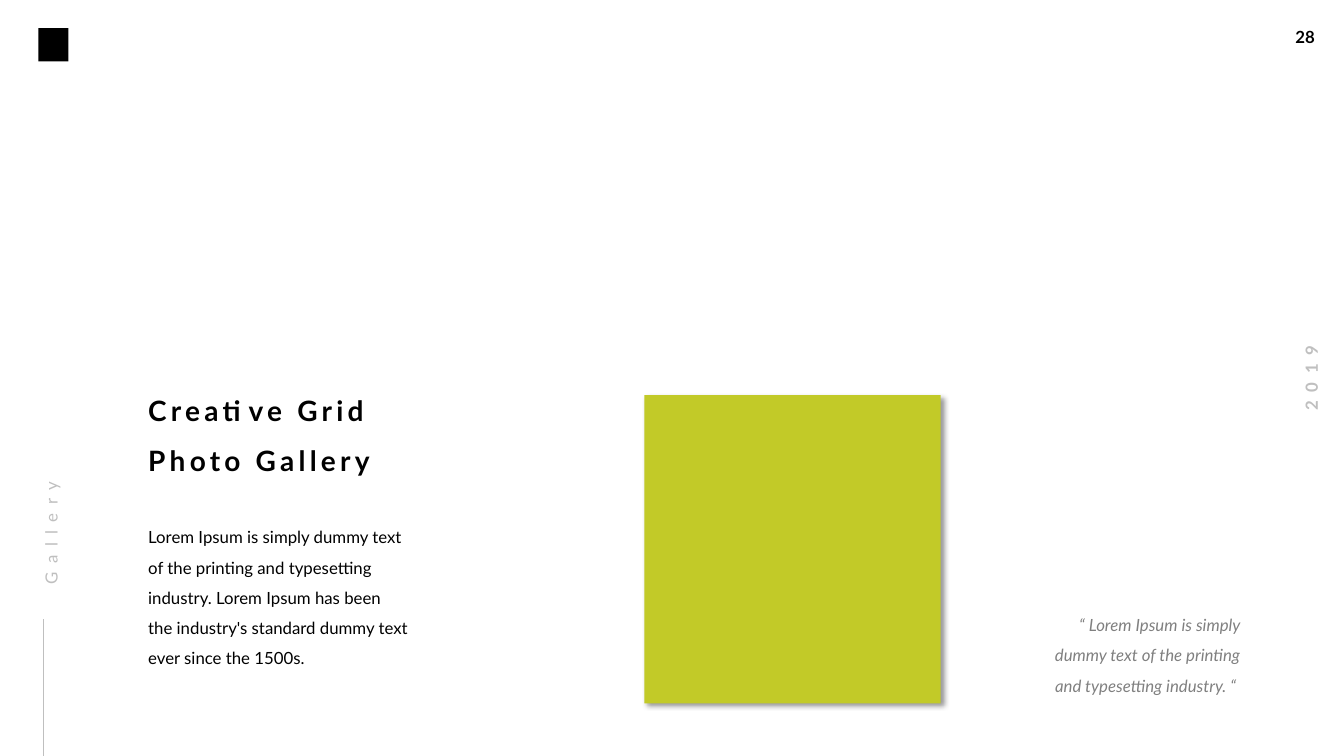
import pptx
import pptx.dml.color
import pptx.enum.shapes
import pptx.enum.text
import pptx.oxml
import pptx.oxml.ns
import pptx.util

Inches = pptx.util.Inches
Pt = pptx.util.Pt
Align = pptx.enum.text.PP_ALIGN
BLACK, SILVER, GRAY, LIME = "000000", "BFBFBF", "808080", "C2CA28"
FLUSH = (0, 0, 0.1, 0)
PADDED = (0.1, 0.05, 0.1, 0.05)
NAMESPACE = pptx.oxml.ns.nsdecls("a")
SHADOW = (
    f'<a:effectLst {NAMESPACE}><a:outerShdw blurRad="50800" dist="38100" dir="2700000" '
    'algn="tl" rotWithShape="0"><a:srgbClr val="000000"><a:alpha val="40000"/>'
    "</a:srgbClr></a:outerShdw></a:effectLst>"
)


def color(value):
    return pptx.dml.color.RGBColor.from_string(value)


class GalleryPage:
    font_name = "Lato"

    def __init__(self, deck):
        self.page = deck.slides.add_slide(deck.slide_layouts[5])

    def fill_text(self, box, lines, insets=FLUSH, hue=BLACK, size=12, tracking=0,
                  align=Align.LEFT, leading=1.0, wrap=True, **styles):
        frame = box.text_frame
        frame.word_wrap = wrap
        frame.auto_size = pptx.enum.text.MSO_AUTO_SIZE.SHAPE_TO_FIT_TEXT
        frame.vertical_anchor = pptx.enum.text.MSO_ANCHOR.TOP
        for side, inset in zip(("left", "top", "right", "bottom"), insets):
            setattr(frame, f"margin_{side}", Inches(inset))
        for index, line in enumerate(lines):
            para = frame.add_paragraph() if index else frame.paragraphs[0]
            layout = {"alignment": align, "line_spacing": leading,
                      "space_before": Pt(12 if index else 0)}
            for name, value in layout.items():
                setattr(para, name, value)
            span = para.add_run()
            span.text = line
            look = {"name": self.font_name, "size": Pt(size), **styles}
            for name, value in look.items():
                setattr(span.font, name, value)
            span.font.color.rgb = color(hue)
            if tracking:
                span.font._element.set("spc", str(tracking * 100))

    def title(self, place, lines, **styles):
        box = self.page.shapes.title
        for name, value in zip(("left", "top", "width", "height"), place):
            setattr(box, name, Inches(value))
        self.fill_text(box, lines, **styles)

    def text(self, place, line, rotation=0, **styles):
        box = self.page.shapes.add_textbox(*map(Inches, place))
        box.rotation = rotation
        self.fill_text(box, [line], **styles)

    def block(self, place, hue, shadow=False):
        box = self.page.shapes.add_shape(
            pptx.enum.shapes.MSO_SHAPE.RECTANGLE, *map(Inches, place))
        box.fill.solid()
        box.fill.fore_color.rgb = color(hue)
        box.line.fill.background()
        box.shadow.inherit = False
        if shadow:
            properties = box._element.spPr
            properties.remove(properties.find(pptx.oxml.ns.qn("a:effectLst")))
            properties.append(pptx.oxml.parse_xml(SHADOW))

    def line(self, start, end, hue, width):
        rule = self.page.shapes.add_connector(
            pptx.enum.shapes.MSO_CONNECTOR.STRAIGHT, *map(Inches, start + end))
        rule.line.color.rgb = color(hue)
        rule.line.width = Pt(width)
        rule._element.spPr.append(pptx.oxml.parse_xml(f"<a:effectLst {NAMESPACE}/>"))


def main():
    deck = pptx.Presentation()
    deck.slide_width, deck.slide_height = Inches(13.33), Inches(7.5)
    gallery = GalleryPage(deck)

    gallery.text((12.75, 0.22, 0.41, 0.3), "28", insets=PADDED, wrap=False, bold=True)
    gallery.text((12.54, 3.6, 0.93, 0.3), "2019", rotation=270, insets=PADDED,
                 wrap=False, align=Align.CENTER, hue=SILVER, tracking=6, bold=True)
    gallery.block((0.38, 0.28, 0.3, 0.33), BLACK)

    gallery.block((6.39, 3.92, 2.94, 3.06), LIME, shadow=True)
    gallery.title((1.47, 3.9, 2.88, 0.84), ["Creative Grid", "Photo Gallery"],
                  size=20, tracking=3, bold=True)
    gallery.text((1.47, 5.13, 2.69, 1.47),
                 "Lorem Ipsum is simply dummy text of the printing and typesetting "
                 "industry. Lorem Ipsum has been the industry's standard dummy text "
                 "ever since the 1500s.", leading=1.5)
    gallery.text((10.46, 6, 1.94, 0.87),
                 "“ Lorem Ipsum is simply dummy text of the printing and typesetting "
                 "industry. “ ", leading=1.5, align=Align.RIGHT, hue=GRAY, italic=True)

    gallery.line((0.43, 7.5), (0.43, 6.14), SILVER, 0.5)
    gallery.text((-0.49, 4.74, 1.85, 0.26), "Gallery", rotation=270, leading=1.5,
                 hue=SILVER, tracking=6)
    deck.save("out.pptx")


if __name__ == "__main__":
    main()
